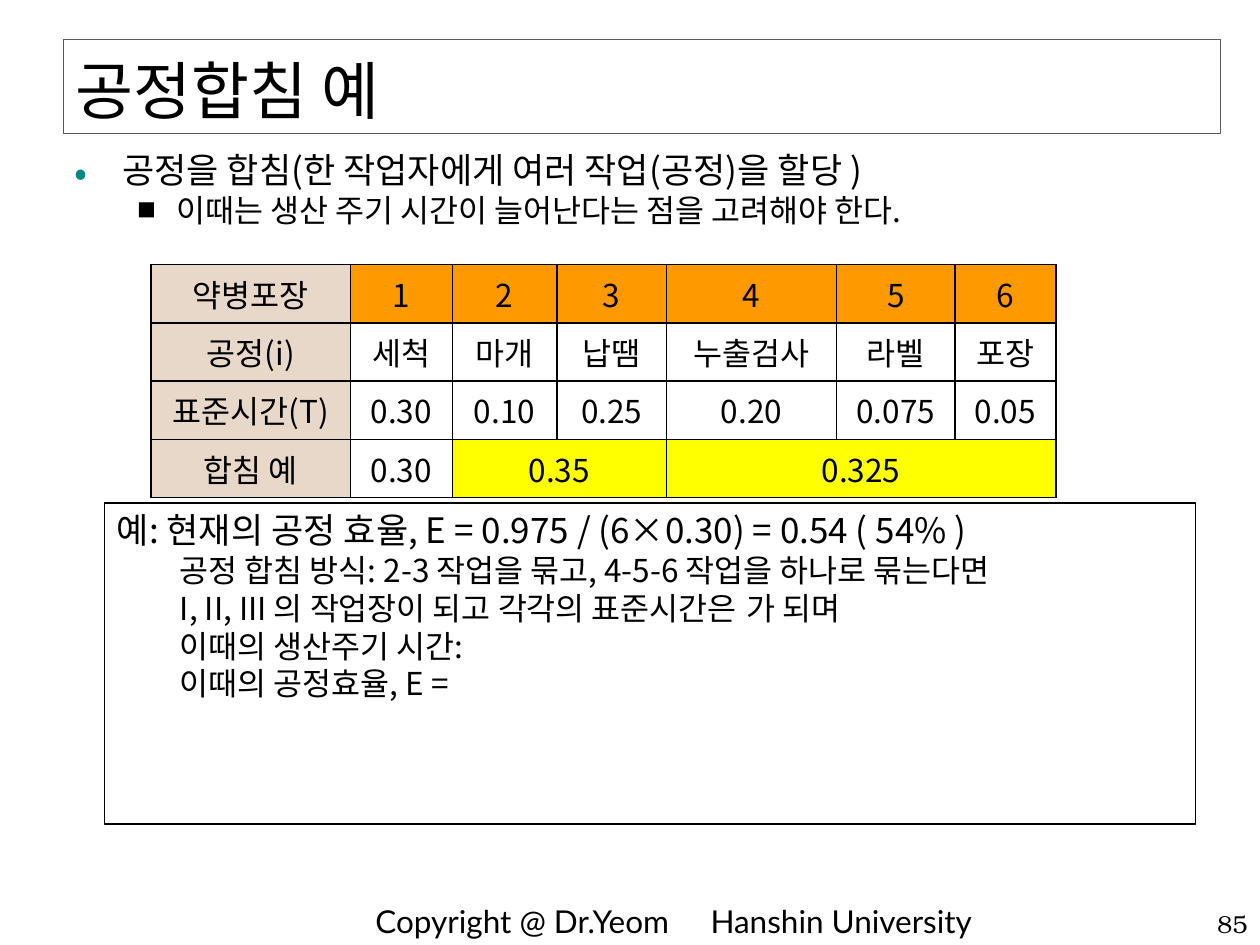
from dataclasses import dataclass

from lxml import etree
from pptx import Presentation
from pptx.dml.color import RGBColor
from pptx.enum.shapes import MSO_SHAPE
from pptx.enum.text import MSO_ANCHOR, MSO_AUTO_SIZE, PP_ALIGN
from pptx.oxml.ns import qn
from pptx.util import Inches, Pt

RECTANGLE = MSO_SHAPE.RECTANGLE
TOP, MIDDLE, BOTTOM = MSO_ANCHOR.TOP, MSO_ANCHOR.MIDDLE, MSO_ANCHOR.BOTTOM
LEFT, CENTER, RIGHT = PP_ALIGN.LEFT, PP_ALIGN.CENTER, PP_ALIGN.RIGHT
JUSTIFY = PP_ALIGN.JUSTIFY
FIXED_SIZE = MSO_AUTO_SIZE.NONE


@dataclass(frozen=True)
class Theme:
    body_font: str = "Noto Sans CJK KR"
    footer_font: str = "Lato"
    number_font: str = "TeX Gyre Bonum"
    title_size: int = 36
    lead_size: int = 20
    text_size: int = 18
    number_size: int = 14
    ink: str = "000000"
    frame: str = "595959"
    bullet: str = "008685"
    label: str = "E8D8CA"
    heading: str = "FF9900"
    merged: str = "FFFF00"
    plain: str = "FFFFFF"


class SlideBuilder:
    """Holds the theme and the current slide."""

    def __init__(self, deck, theme):
        self.theme = theme
        self.page = deck.slides.add_slide(deck.slide_layouts[1])

    def place(self, shape, area):
        for side, value in zip(("left", "top", "width", "height"), area):
            setattr(shape, side, Inches(value))

    def format_frame(self, frame, **values):
        settings = {"word_wrap": True, "auto_size": FIXED_SIZE,
                    "vertical_anchor": TOP} | values
        for name, value in settings.items():
            setattr(frame, name, value)

    def add_xml(self, parent, tag, **attributes):
        return etree.SubElement(parent, qn(tag), attributes)

    def fill_para(self, para, text, size, font=None, **values):
        settings = {"alignment": LEFT, "space_before": Pt(0)} | values
        for name, value in settings.items():
            setattr(para, name, value)
        span = para.add_run()
        span.text = text
        font = font or self.theme.body_font
        for name, value in {"name": font, "size": Pt(size)}.items():
            setattr(span.font, name, value)
        span.font.color.rgb = RGBColor.from_string(self.theme.ink)
        # Korean letters take their font from the East Asian setting
        self.add_xml(span._r.get_or_add_rPr(), "a:ea", typeface=font)

    def indent(self, para, margin, first_line=0):
        props = para._p.get_or_add_pPr()
        props.set("marL", str(Inches(margin)))
        props.set("indent", str(Inches(first_line)))
        return props

    def add_bullet(self, para, symbol, color, percent, margin, hanging):
        props = self.indent(para, margin, -hanging)
        self.add_xml(self.add_xml(props, "a:buClr"), "a:srgbClr", val=color)
        self.add_xml(props, "a:buSzPct", val=str(percent * 1000))
        self.add_xml(props, "a:buFont", typeface=self.theme.body_font)
        self.add_xml(props, "a:buChar", char=symbol)

    def add_tab(self, para, position):
        stops = self.add_xml(para._p.get_or_add_pPr(), "a:tabLst")
        self.add_xml(stops, "a:tab", pos=str(Inches(position)), algn="l")

    def outline(self, shape, color, width):
        shape.line.color.rgb = RGBColor.from_string(color)
        shape.line.width = Pt(width)

    def title(self, text, area):
        box = self.page.shapes.title
        self.place(box, area)
        self.outline(box, self.theme.frame, 0.1)
        self.format_frame(box.text_frame, vertical_anchor=BOTTOM)
        self.fill_para(box.text_frame.paragraphs[0], text,
                       self.theme.title_size)

    def body(self, items, area):
        box = self.page.placeholders[1]
        self.place(box, area)
        frame = box.text_frame
        self.format_frame(frame)
        for index, (text, size, level, bullet) in enumerate(items):
            para = frame.add_paragraph() if index else frame.paragraphs[0]
            self.add_bullet(para, *bullet)
            self.fill_para(para, text, size, level=level)

    def text(self, text, area, size, font, align=LEFT, tab=None, **values):
        box = self.page.shapes.add_textbox(*map(Inches, area))
        self.format_frame(box.text_frame, **values)
        para = box.text_frame.paragraphs[0]
        if tab:
            self.add_tab(para, tab)
        self.fill_para(para, text, size, font, alignment=align)

    def panel(self, heading, lines, area, tab):
        box = self.page.shapes.add_shape(RECTANGLE, *map(Inches, area))
        box.shadow.inherit = False
        box.fill.background()
        self.outline(box, self.theme.ink, 1)
        frame = box.text_frame
        self.format_frame(frame)
        self.fill_para(frame.paragraphs[0], heading, self.theme.lead_size,
                       alignment=JUSTIFY)
        for line in lines:
            para = frame.add_paragraph()
            self.indent(para, 0.5)
            if "\t" in line:
                self.add_tab(para, tab)
            self.fill_para(para, line, self.theme.text_size,
                           alignment=JUSTIFY, level=1)

    def border(self, cell):
        props = cell._tc.get_or_add_tcPr()
        for index, tag in enumerate(("a:lnL", "a:lnR", "a:lnT", "a:lnB")):
            line = etree.Element(qn(tag), {"w": str(Pt(1))})
            fill = self.add_xml(line, "a:solidFill")
            self.add_xml(fill, "a:srgbClr", val=self.theme.ink)
            props.insert(index, line)

    def cell_color(self, row, column):
        if column == 0:
            return self.theme.label
        if row == 0:
            return self.theme.heading
        return self.theme.merged if row == 3 and column > 1 else self.theme.plain

    def table(self, rows, left, top, widths, row_height, merges):
        area = (left, top, sum(widths), row_height * len(rows))
        grid = self.page.shapes.add_table(
            len(rows), len(widths), *map(Inches, area)).table
        grid.first_row = grid.horz_banding = False
        for column, width in zip(grid.columns, widths):
            column.width = Inches(width)
        for row, first, last in merges:
            grid.cell(row, first).merge(grid.cell(row, last))
        for r, row in enumerate(rows):
            for c, text in enumerate(row):
                cell = grid.cell(r, c)
                cell.vertical_anchor = MIDDLE
                cell.fill.solid()
                cell.fill.fore_color.rgb = RGBColor.from_string(
                    self.cell_color(r, c))
                self.border(cell)
                if text:
                    self.fill_para(cell.text_frame.paragraphs[0], text,
                                   self.theme.text_size, alignment=CENTER)


def main():
    deck = Presentation()
    deck.slide_width, deck.slide_height = Inches(10), Inches(7.5)
    theme = Theme()
    slide = SlideBuilder(deck, theme)

    # Title and list
    slide.title("공정합침 예", (0.5, 0.31, 9.18, 0.75))
    slide.body([
        ("공정을 합침(한 작업자에게 여러 작업(공정)을 할당 )", theme.lead_size, 0,
         ("•", theme.bullet, 110, 0.38, 0.38)),
        ("이때는 생산 주기 시간이 늘어난다는 점을 고려해야 한다.", theme.text_size, 1,
         ("■", theme.ink, 60, 0.81, 0.31)),
    ], (0.49, 1.13, 9.15, 5.96))

    # Footer and page number
    slide.text("Copyright @ Dr.Yeom\tHanshin University", (1.95, 7.11, 6.8, 0.39),
               theme.text_size, theme.footer_font, tab=2.66,
               vertical_anchor=MIDDLE, margin_left=Inches(1.03))
    slide.text("85", (8.83, 7.17, 1.17, 0.33), theme.number_size,
               theme.number_font, RIGHT, vertical_anchor=BOTTOM)

    # Process times, with the merged stations in the last row
    slide.table([
        ["약병포장", "1", "2", "3", "4", "5", "6"],
        ["공정(i)", "세척", "마개", "납땜", "누출검사", "라벨", "포장"],
        ["표준시간(T)", "0.30", "0.10", "0.25", "0.20", "0.075", "0.05"],
        ["합침 예", "0.30", "0.35", "", "0.325", "", ""],
    ], 1.2, 2.1, [1.58, 0.81, 0.83, 0.87, 1.35, 0.94, 0.8], 0.46,
        merges=[(3, 2, 3), (3, 4, 6)])

    # Worked example
    slide.panel("예: 현재의 공정 효율, E = 0.975 / (6×0.30) = 0.54 ( 54% )", [
        "공정 합침 방식: 2-3 작업을 묶고, 4-5-6 작업을 하나로 묶는다면",
        "I, II, III 의 작업장이 되고 각각의 표준시간은\t가 되며",
        "이때의 생산주기 시간:",
        "이때의 공정효율, E =",
    ], (0.83, 3.99, 8.66, 2.55), tab=6.31)

    deck.save("out.pptx")


if __name__ == "__main__":
    main()
